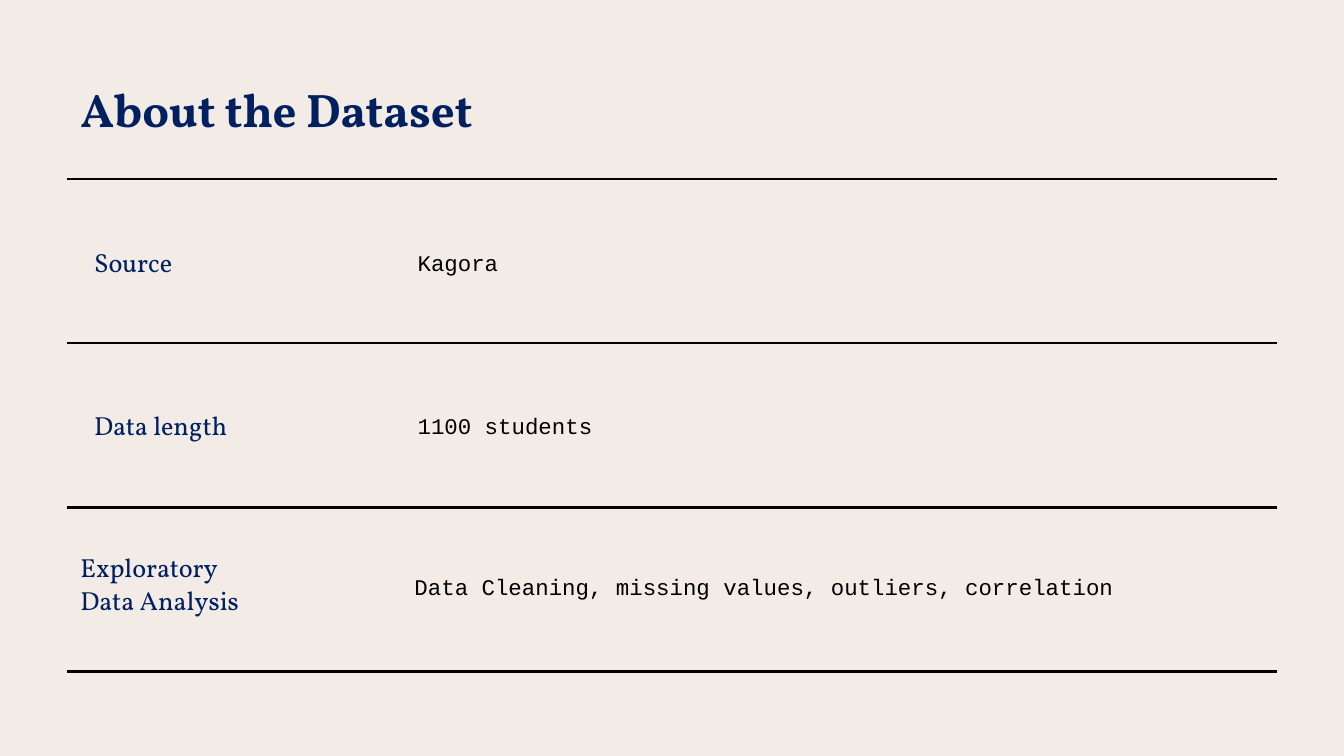
from pptx import Presentation
from pptx.dml.color import RGBColor
from pptx.enum.text import MSO_ANCHOR, MSO_AUTO_SIZE, PP_ALIGN
from pptx.oxml import parse_xml
from pptx.oxml.ns import nsdecls
from pptx.util import Pt

PAPER, NAVY, BLACK = "F2EBE6", "002060", "000000"
SERIF, MONO = "Vollkorn", "Courier New"
PAD = 7.2


def rgb(code):
    return RGBColor.from_string(code)


class Deck:
    def __init__(self, wide, high):
        self.prs = Presentation()
        self.prs.slide_width, self.prs.slide_height = Pt(wide), Pt(high)
        self.slide = self.prs.slides.add_slide(self.prs.slide_layouts[4])
        fill = self.slide.background.fill
        fill.solid()
        fill.fore_color.rgb = rgb(PAPER)
        self.free = list(self.slide.placeholders)

    def text(self, words, box, font, size, color, bold=False, left=PAD,
             foot=PAD, indent=0, lines=1.0, after=0):
        """Fill the next free placeholder, or a text box once all are used."""
        area = [Pt(v) for v in box]
        if self.free:
            shape = self.free.pop(0)
            shape.left, shape.top, shape.width, shape.height = area
        else:
            shape = self.slide.shapes.add_textbox(*area)
        frame = shape.text_frame
        frame.word_wrap = True
        frame.auto_size = MSO_AUTO_SIZE.NONE
        frame.vertical_anchor = MSO_ANCHOR.MIDDLE
        frame.margin_left, frame.margin_bottom = Pt(left), Pt(foot)
        frame.margin_top = frame.margin_right = Pt(PAD)
        frame.text = words
        para = frame.paragraphs[0]
        para.alignment = PP_ALIGN.LEFT
        para.line_spacing = lines
        para.space_before, para.space_after = Pt(0), Pt(after)
        # No bullet, no hanging indent
        props = para._p.get_or_add_pPr()
        props.set("marL", str(Pt(indent)))
        props.set("indent", "0")
        props.append(parse_xml(f"<a:buNone {nsdecls('a')}/>"))
        para.font.name, para.font.size = font, Pt(size)
        para.font.bold = bold
        para.font.color.rgb = rgb(color)

    def label(self, words, box, **look):
        self.text(words, box, SERIF, 14, NAVY, **look)

    def value(self, words, box, **look):
        self.text(words, box, MONO, 12, BLACK, **look)

    def edge(self, cell, sides, width=1.5):
        """Rule the top and bottom of a cell and clear its sides."""
        props = cell._tc.get_or_add_tcPr()
        for spot, side in enumerate("LRTB"):
            paint = "<a:noFill/>"
            if side in sides:
                paint = f'<a:solidFill><a:srgbClr val="{BLACK}"/></a:solidFill>'
            props.insert(spot, parse_xml(
                f'<a:ln{side} {nsdecls("a")} w="{Pt(width)}">{paint}</a:ln{side}>'))

    def grid(self, left, top, cols, rows):
        table = self.slide.shapes.add_table(
            len(rows), len(cols), Pt(left), Pt(top),
            Pt(sum(cols)), Pt(sum(rows))).table
        table.first_row = table.horz_banding = False
        for col, wide in zip(table.columns, cols):
            col.width = Pt(wide)
        for row, high in zip(table.rows, rows):
            row.height = Pt(high)
        for cell in table.iter_cells():
            cell.fill.background()
            self.edge(cell, "TB")


def main():
    deck = Deck(720, 405)

    # Title
    deck.text("About the Dataset", (36, 35.5, 648, 45), SERIF, 25.2, NAVY, bold=True)

    # Source and length rows
    facts = [("Source", "Kagora"), ("Data length", "1100 students")]
    for row, (name, fact) in enumerate(facts):
        top = 101.5 + row * 87.2
        deck.label(name, (36, top, 144, 78), left=14.4, after=10)
        deck.value(fact, (216.5, top, 395, 78), lines=1.05, after=10)

    # Analysis row, set slightly high by a deeper foot
    deck.label("Exploratory Data Analysis", (36, 282, 111, 78), foot=25, lines=1.05)
    deck.value("Data Cleaning, missing values, outliers, correlation",
               (203, 282, 413, 78), foot=22.8, indent=12, lines=1.15)

    # Ruled grid
    deck.grid(36, 95.8, [163.5, 484.5], [88] * 3)

    deck.prs.save("out.pptx")


if __name__ == "__main__":
    main()
